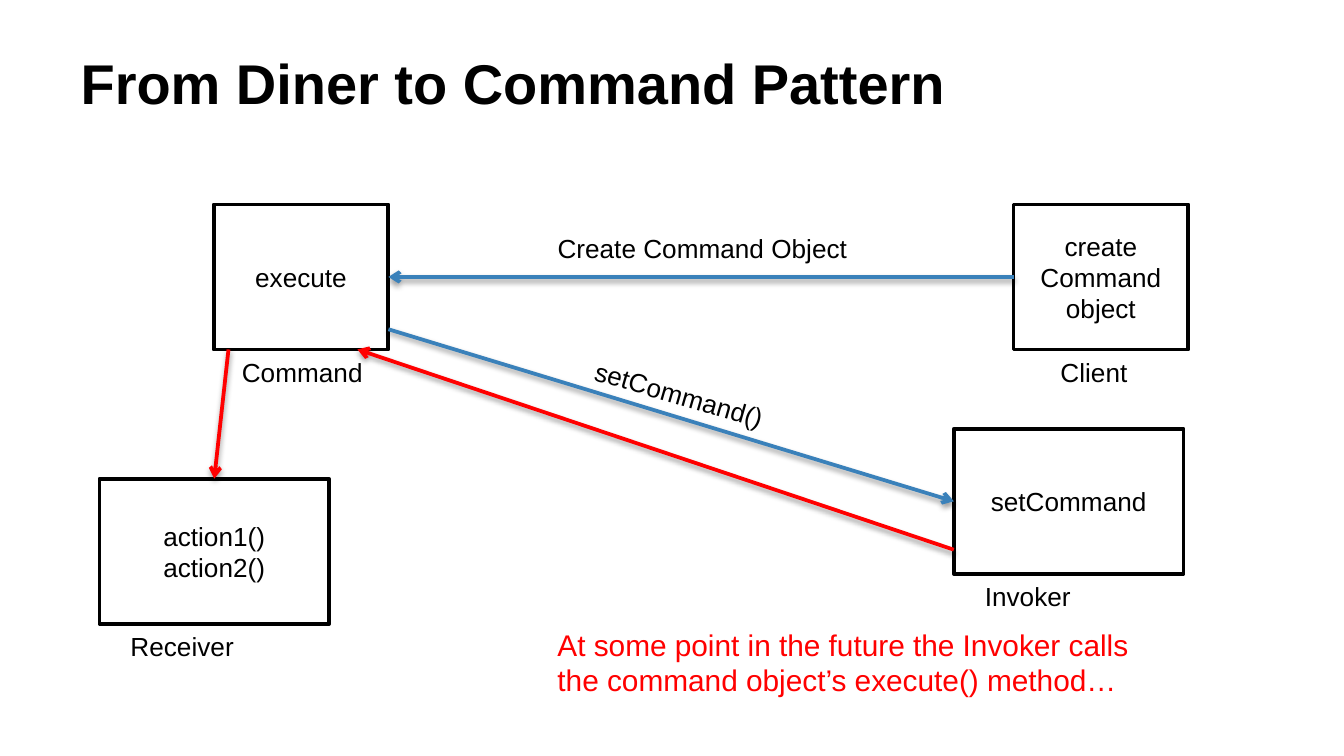
from lxml import etree
from pptx import Presentation
from pptx.dml.color import RGBColor
from pptx.enum.shapes import MSO_CONNECTOR, MSO_SHAPE
from pptx.enum.text import MSO_ANCHOR, MSO_AUTO_SIZE, PP_ALIGN
from pptx.oxml.ns import qn
from pptx.util import Pt

STRAIGHT = MSO_CONNECTOR.STRAIGHT
RECT = MSO_SHAPE.RECTANGLE
TOP, MIDDLE = MSO_ANCHOR.TOP, MSO_ANCHOR.MIDDLE
LEFT, CENTER = PP_ALIGN.LEFT, PP_ALIGN.CENTER
NO_FIT, GROW = MSO_AUTO_SIZE.NONE, MSO_AUTO_SIZE.SHAPE_TO_FIT_TEXT
SIDE_TOP, SIDE_LEFT, SIDE_RIGHT = 0, 1, 3
BLACK, WHITE, RED, BLUE = "000000", "FFFFFF", "FF0000", "3A81BA"


def rgb(value):
    return RGBColor.from_string(value)


def write(tf, text, size=14, color=BLACK, bold=False, align=LEFT,
          anchor=TOP, wrap=True, fit=NO_FIT):
    tf.word_wrap = wrap
    tf.auto_size = fit
    tf.vertical_anchor = anchor
    for i, line in enumerate(text.split("\n")):
        p = tf.paragraphs[0] if i == 0 else tf.add_paragraph()
        p.alignment = align
        r = p.add_run()
        r.text = line
        r.font.name = "Arial"
        r.font.size = Pt(size)
        r.font.bold = bold
        r.font.color.rgb = rgb(color)


class Diagram:
    line_width = 2
    box_height = 77.76
    label_height = 24.5

    def __init__(self, slide):
        self.slide = slide

    def title(self, text, x, y, w, h):
        sp = self.slide.shapes.title
        sp.left, sp.top, sp.width, sp.height = Pt(x), Pt(y), Pt(w), Pt(h)
        tf = sp.text_frame
        tf.margin_left = tf.margin_right = tf.margin_bottom = Pt(7.2)
        tf.margin_top = Pt(9.5)
        write(tf, text, size=30, bold=True)

    def text(self, text, x, y, w, h=label_height, shapes=None, rotation=0, **fmt):
        shapes = shapes or self.slide.shapes
        sp = shapes.add_textbox(Pt(x), Pt(y), Pt(w), Pt(h))
        sp.rotation = rotation
        write(sp.text_frame, text, fit=GROW, **fmt)

    def role(self, name, body, x, y, w, label_dx, label_w):
        shapes = self.slide.shapes.add_group_shape().shapes
        sp = shapes.add_shape(RECT, Pt(x), Pt(y), Pt(w), Pt(self.box_height))
        sp.shadow.inherit = False
        sp.fill.solid()
        sp.fill.fore_color.rgb = rgb(WHITE)
        sp.line.color.rgb = rgb(BLACK)
        sp.line.width = Pt(self.line_width)
        write(sp.text_frame, body, align=CENTER, anchor=MIDDLE)
        self.text(name, x + label_dx, y + self.box_height, label_w,
                  shapes=shapes, wrap=False)
        return sp

    def arrow(self, color, start, end, begin=None, finish=None):
        points = [Pt(v) for v in (*start, *end)]
        cxn = self.slide.shapes.add_connector(STRAIGHT, *points)
        if begin:
            cxn.begin_connect(*begin)
        if finish:
            cxn.end_connect(*finish)
        cxn.line.color.rgb = rgb(color)
        cxn.line.width = Pt(self.line_width)
        etree.SubElement(cxn.line._get_or_add_ln(), qn("a:tailEnd"), type="arrow")
        effects = etree.SubElement(cxn._element.spPr, qn("a:effectLst"))
        shadow = etree.SubElement(
            effects, qn("a:outerShdw"), blurRad=str(Pt(3.1)), dist=str(Pt(1.6)),
            dir="5400000", rotWithShape="0")
        tint = etree.SubElement(shadow, qn("a:srgbClr"), val=BLACK)
        etree.SubElement(tint, qn("a:alpha"), val="38000")


def main():
    prs = Presentation()
    prs.slide_width, prs.slide_height = Pt(720), Pt(405)
    d = Diagram(prs.slides.add_slide(prs.slide_layouts[5]))
    d.title("From Diner to Command Pattern", 36, 16.5, 648, 67.5)

    client = d.role("Client", "create Command object", 543, 109.5, 93.6, 18, 51)
    command = d.role("Command", "execute", 114.5, 109.5, 93.6, 8, 80)
    invoker = d.role("Invoker", "setCommand", 511, 229.7, 123, 9.5, 61)
    receiver = d.role("Receiver", "action1()\naction2()", 53.3, 256.5, 123, 9.5, 71)

    d.arrow(BLUE, (543, 148.4), (208.1, 148.4),
            (client, SIDE_LEFT), (command, SIDE_RIGHT))
    d.arrow(BLUE, (208.1, 176.4), (511, 268.6), finish=(invoker, SIDE_LEFT))
    d.arrow(RED, (511, 294.5), (191.5, 187.2))
    d.arrow(RED, (122.4, 187.2), (114.8, 256.5), finish=(receiver, SIDE_TOP))

    d.text("Create Command Object", 291.6, 121, 171.4, wrap=False)
    d.text("setCommand()", 310.3, 199.4, 108, rotation=16.1, wrap=False)
    d.text("At some point in the future the Invoker calls "
           "the command object’s execute() method…",
           291.6, 332, 328.3, 46, size=16, color=RED)
    prs.save("out.pptx")


if __name__ == "__main__":
    main()
